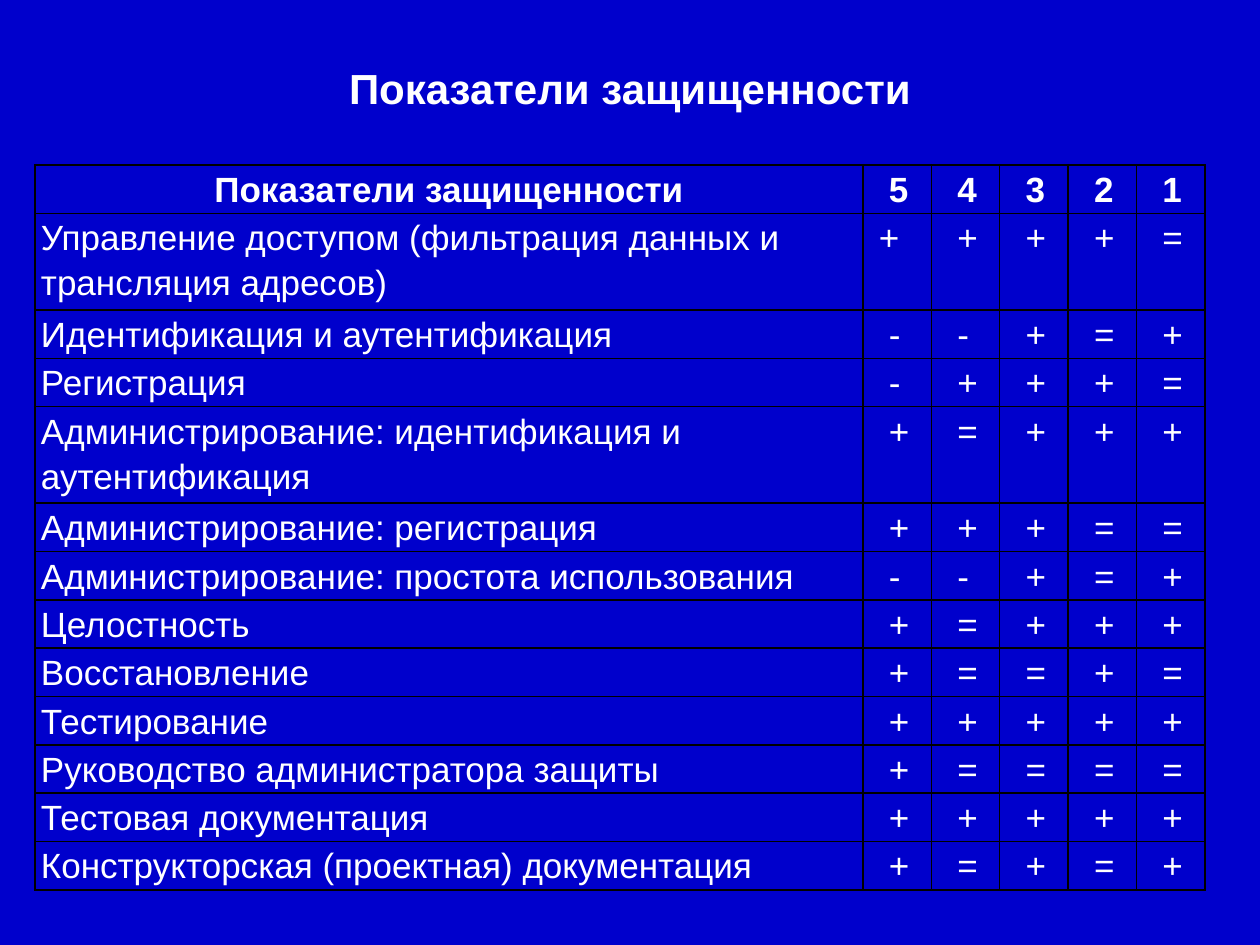
from lxml import etree
from pptx import Presentation
from pptx.dml.color import RGBColor
from pptx.enum.text import MSO_ANCHOR, PP_ALIGN
from pptx.oxml.ns import qn
from pptx.util import Emu, Pt

CENTER, LEFT = PP_ALIGN.CENTER, PP_ALIGN.LEFT
TOP, MIDDLE = MSO_ANCHOR.TOP, MSO_ANCHOR.MIDDLE
TITLE_ONLY = 5
PX = 914400 / 126
WHITE, BLACK, BLUE = "FFFFFF", "000000", "0000CC"

TITLE = "Показатели защищенности"
# Each row: indicator, its marks by class, height in text lines
ROWS = [
    ("Показатели защищенности", "54321", 1),
    ("Управление доступом (фильтрация данных и трансляция адресов)", "++++=", 2),
    ("Идентификация и аутентификация", "--+=+", 1),
    ("Регистрация", "-+++=", 1),
    ("Администрирование: идентификация и аутентификация", "+=+++", 2),
    ("Администрирование: регистрация", "+++==", 1),
    ("Администрирование: простота использования", "--+=+", 1),
    ("Целостность", "+=+++", 1),
    ("Восстановление", "+==+=", 1),
    ("Тестирование", "+++++", 1),
    ("Руководство администратора защиты", "+====", 1),
    ("Тестовая документация", "+++++", 1),
    ("Конструкторская (проектная) документация", "+=+=+", 1),
]


def px(length):
    return Emu(round(length * PX))


def color(value):
    return RGBColor.from_string(value)


def format_para(para, size, bold, align):
    para.alignment = align
    para.font.name = "Arial"
    para.font.size = Pt(size)
    para.font.bold = bold
    para.font.color.rgb = color(WHITE)


def set_borders(cell, widths):
    """Draw the left, right, top and bottom edges, widths in points."""
    properties = cell._tc.get_or_add_tcPr()
    for position, (side, width) in enumerate(zip("LRTB", widths)):
        line = etree.Element(qn(f"a:ln{side}"), w=str(Pt(width)))
        fill = etree.SubElement(line, qn("a:solidFill"))
        etree.SubElement(fill, qn("a:srgbClr"), val=BLACK)
        properties.insert(position, line)


def add_title(page, left, top, width, height):
    box = page.shapes.title
    box.left, box.top, box.width, box.height = map(px, (left, top, width, height))
    frame = box.text_frame
    frame.text = TITLE
    frame.vertical_anchor = MIDDLE
    format_para(frame.paragraphs[0], 24, True, CENTER)


def fill_cell(cell, text, indent, bold, align):
    cell.text = text
    cell.fill.background()
    cell.vertical_anchor = TOP
    cell.margin_left, cell.margin_right = px(indent), px(6)
    cell.margin_top = cell.margin_bottom = 0
    para = cell.text_frame.paragraphs[0]
    para.line_spacing = 1.15
    format_para(para, 20, bold, align)


def add_indicator_table(page, left, top, width, height):
    last_row, last_column = len(ROWS) - 1, len(ROWS[0][1])
    table = page.shapes.add_table(
        last_row + 1, last_column + 1, *map(px, (left, top, width, height))
    ).table
    table.first_row = table.horz_banding = False

    # One wide label column, equal mark columns
    label_width = 828
    mark_width = (width - label_width) / last_column
    for index, column in enumerate(table.columns):
        column.width = px(mark_width if index else label_width)

    line_height = height / sum(lines for _, _, lines in ROWS)
    for row, (label, marks, lines) in enumerate(ROWS):
        table.rows[row].height = px(line_height * lines)
        for column, text in enumerate([label, *marks]):
            cell = table.cell(row, column)
            # The first mark under the header sits a little further left
            indent = 6 if column == 0 else 16 if (row, column) == (1, 1) else 26
            align = CENTER if row == column == 0 else LEFT
            fill_cell(cell, text, indent, row == 0, align)
            # Outer edges are heavier than inner ones
            outer = (column == 0, column == last_column, row == 0, row == last_row)
            set_borders(cell, [1.5 if edge else 1 for edge in outer])


def main():
    deck = Presentation()
    deck.slide_width, deck.slide_height = px(1260), px(945)
    page = deck.slides.add_slide(deck.slide_layouts[TITLE_ONLY])
    page.background.fill.solid()
    page.background.fill.fore_color.rgb = color(BLUE)
    add_title(page, 35, 56, 1190, 63)
    add_indicator_table(page, 35, 165, 1170, 725)
    deck.save("out.pptx")


if __name__ == "__main__":
    main()
